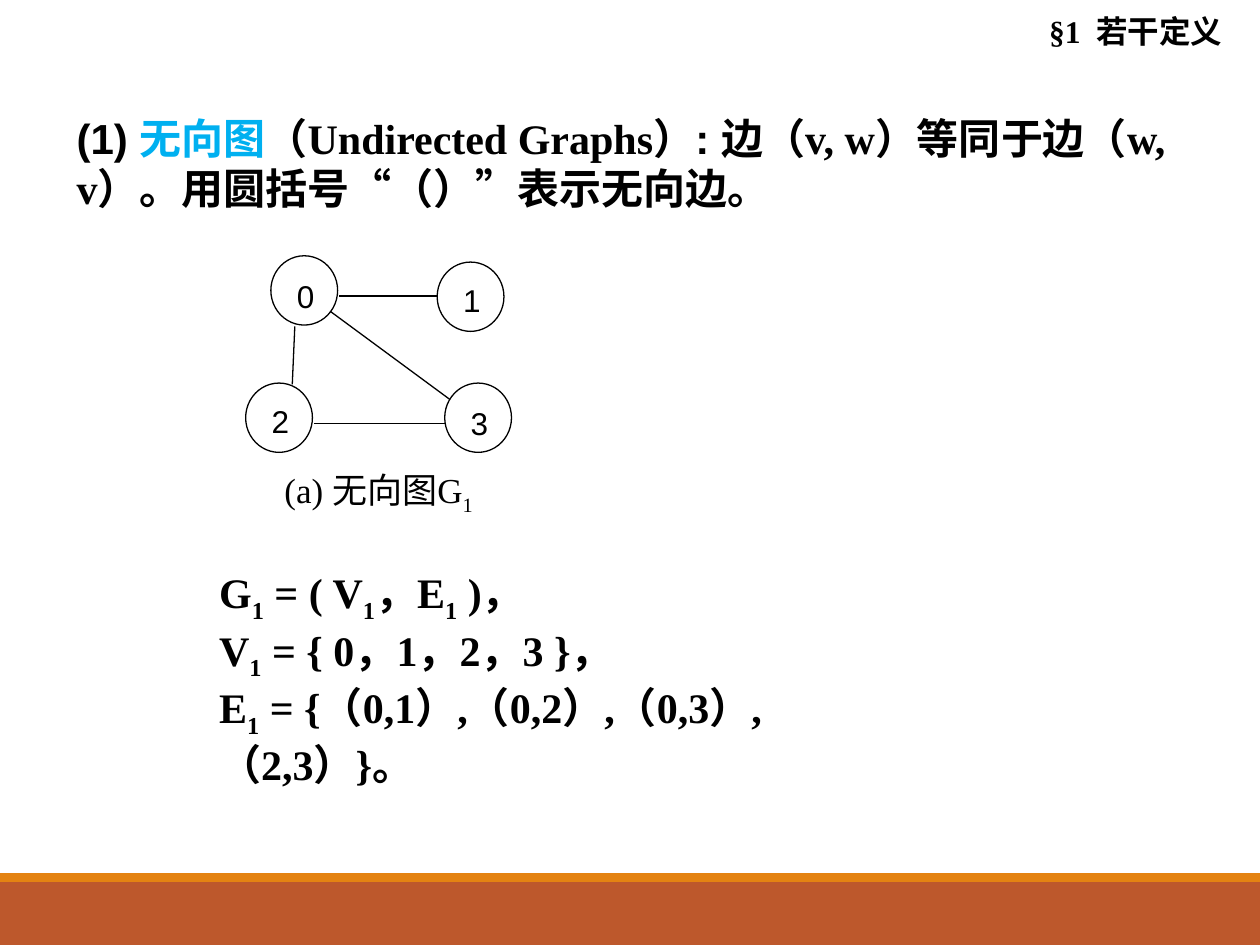
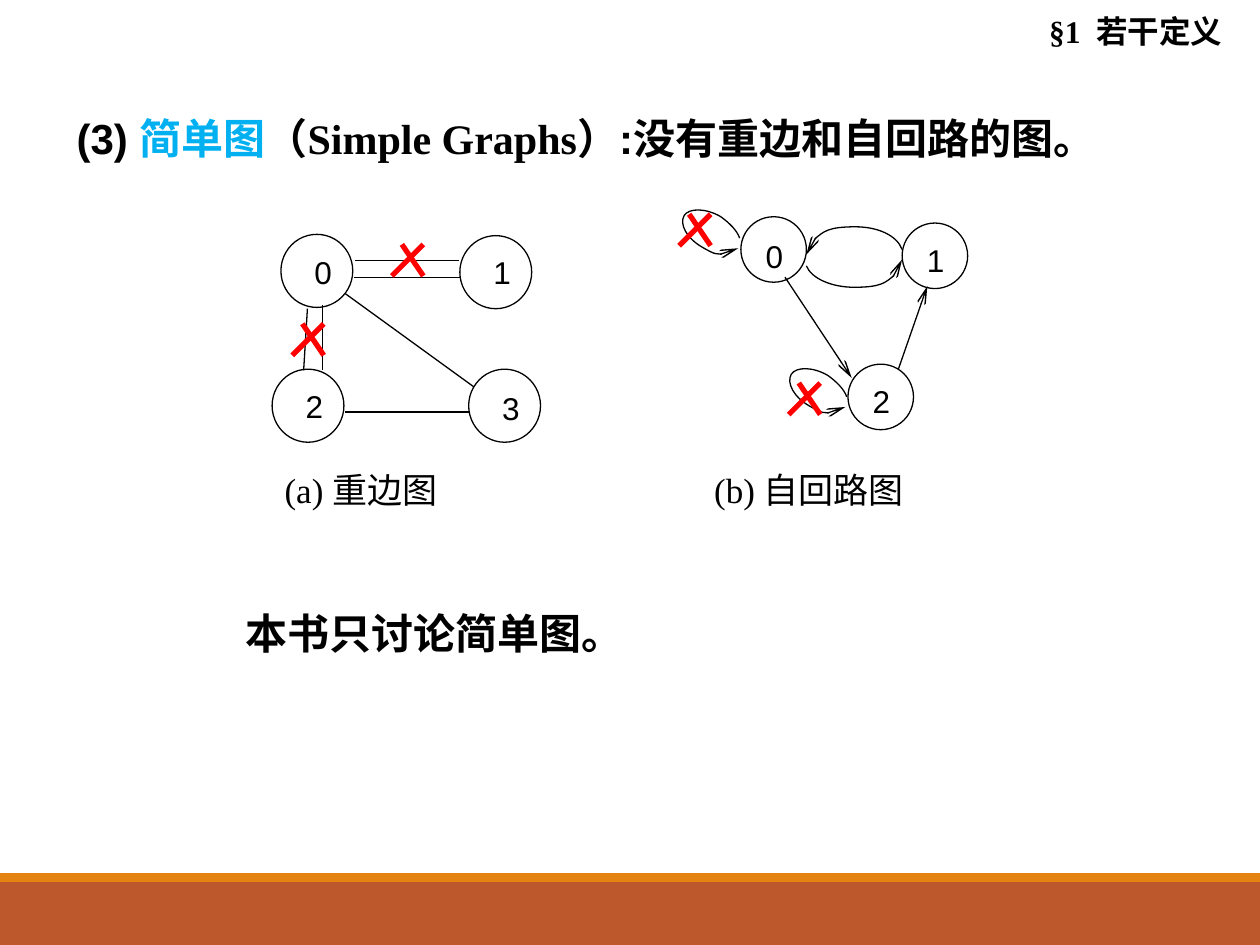
from lxml import etree
from pptx import Presentation
from pptx.dml.color import RGBColor
from pptx.enum.shapes import MSO_CONNECTOR, MSO_SHAPE
from pptx.enum.text import MSO_ANCHOR, PP_ALIGN
from pptx.oxml.ns import qn
from pptx.util import Inches, Pt

RECT, OVAL = MSO_SHAPE.RECTANGLE, MSO_SHAPE.OVAL
LINE = MSO_CONNECTOR.STRAIGHT
LEFT, MID, RIGHT = PP_ALIGN.LEFT, PP_ALIGN.CENTER, PP_ALIGN.RIGHT
TOP = MSO_ANCHOR.TOP
SANS, SERIF = "Arial", "Times New Roman"
HEX = {"ink": "000000", "paper": "FFFFFF", "key": "00B0F0",
       "cross": "FF0000", "band": "BD582C", "rule": "E48312"}

# Content: a run is (text, style); the style names a font, "key" or "sub"
HEAD = "§1  若干定义"
BANDS = [("band", 7, 0.5), ("rule", 6.93, 0.07)]  # colour, top, height

# Graphs: node = text, left, top, label drop; edge = x1, y1, x2, y2
PLAIN = {
    "size": (0.53, 0.55), "label": (0.17, 0.21, 0.24),
    "nodes": [("0", 2.15, 2.03, 0.17), ("1", 3.47, 2.08, 0.15),
              ("2", 1.95, 3.04, 0.15), ("3", 3.53, 3.04, 0.17)],
    "edges": [(2.62, 2.47, 3.57, 3.17), (2.34, 2.59, 2.32, 3.05),
              (3.47, 2.35, 2.69, 2.35), (3.53, 3.36, 2.49, 3.36)],
}
MULTI = {
    "size": (0.57, 0.58), "label": (0.22, 0.23, 0.25),
    "nodes": [("0", 2.23, 1.86, 0.15), ("1", 3.65, 1.87, 0.14),
              ("2", 2.16, 2.93, 0.14), ("3", 3.72, 2.93, 0.16)],
    "edges": [(2.56, 2.42, 2.56, 2.94), (2.44, 2.45, 2.41, 2.94),
              (2.82, 2.07, 3.64, 2.07), (3.66, 2.2, 2.81, 2.2),
              (2.74, 2.33, 3.76, 3.07), (3.72, 3.27, 2.74, 3.27)],
}
LOOPED = {
    "size": (0.52, 0.52), "label": (0.16, 0.21, 0.22), "arrow": True,
    "nodes": [("0", 5.88, 1.72, 0.16), ("1", 7.16, 1.77, 0.14),
              ("2", 6.73, 2.89, 0.14)],
    "edges": [(6.23, 2.2, 6.76, 3), (7.13, 2.93, 7.36, 2.27)],
}

# Curves: a start point, then three points for each cubic
ARCS = [
    [(6.4, 2.11), (6.44, 2.21), (6.6, 2.28), (6.78, 2.28),
     (6.99, 2.28), (7.16, 2.19), (7.16, 2.06)],
    [(7.16, 1.98), (7.12, 1.87), (6.97, 1.8), (6.79, 1.8),
     (6.57, 1.8), (6.4, 1.9), (6.4, 2.02)],
]
LOOP = [(0.48, 0.19), (0.46, 0.13), (0.4, 0.07), (0.33, 0.02),
        (0.21, -0.05), (0.08, -0.05), (0.04, 0.01),
        (0, 0.08), (0.06, 0.19), (0.18, 0.26),
        (0.3, 0.33), (0.43, 0.34), (0.47, 0.27)]
LOOPS = [(5.39, 1.7), (6.24, 2.96)]
CROSSES = [(3.11, 1.94), (2.32, 2.57), (5.39, 1.7), (6.26, 3.04)]

# Texts: place, size, bold, paragraphs
SLIDES = [
    {"graphs": [PLAIN], "arcs": [], "loops": [], "crosses": [], "texts": [
        ((0.51, 0.84, 9.33, 0.9), 24, True, [
            [("(1) ", SANS), ("无向图", "key"),
             ("（Undirected Graphs）", SERIF), (": ", SANS),
             ("边（v, w）等同于边（w, v）。用圆括号“（）”表示无向边。", SERIF)]]),
        ((2.16, 3.67, 2.84, 0.82), 20, False, [
            [("(a) 无向图G", SERIF), ("1", "sub")]]),
        ((1.64, 4.45, 5.78, 1.87), 24, True, [
            [("G", SERIF), ("1", "sub"), (" = ( V", SERIF), ("1", "sub"),
             ("，E", SERIF), ("1", "sub"), (" )，", SERIF)],
            [("V", SERIF), ("1", "sub"), (" = { 0，1，2，3 }，", SERIF)],
            [("E", SERIF), ("1", "sub"),
             (" = {（0,1）,（0,2）,（0,3）,（2,3）}。", SERIF)]]),
    ]},
    {"graphs": [LOOPED, MULTI], "arcs": ARCS, "loops": LOOPS,
     "crosses": CROSSES, "texts": [
        ((0.51, 0.84, 9.14, 0.5), 24, True, [
            [("(3) ", SANS), ("简单图", "key"), ("（Simple Graphs）", SERIF),
             (":没有重边和自回路的图", SANS), ("。", SERIF)]]),
        ((2.16, 3.67, 6.52, 0.44), 20, False, [
            [("(a) 重边图\t(b) 自回路图", SERIF)]]),
        ((1.85, 4.77, 3.7, 0.5), 24, True, [
            [("本书只讨论简单图", SANS), ("。", SERIF)]]),
    ]},
]
TAB = 3.41  # where the second caption starts inside its box


def color(name):
    return RGBColor.from_string(HEX[name])


def box(at):
    return [Inches(v) for v in at]


def pen(line, hue="ink", width=0.75):
    line.color.rgb = color(hue)
    line.width = Pt(width)


def point(shape):
    """Put a slim open arrowhead on the end of a line."""
    etree.SubElement(shape._element.spPr.find(qn("a:ln")),
                     qn("a:tailEnd"), type="arrow", w="sm", len="lg")


def block(slide, kind, at, fill, edged=False):
    shape = slide.shapes.add_shape(kind, *box(at))
    shape.shadow.inherit = False
    shape.fill.solid()
    shape.fill.fore_color.rgb = color(fill)
    if edged:
        pen(shape.line)
    else:
        shape.line.fill.background()
    return shape


def write(para, runs, size, bold=False, align=LEFT):
    para.alignment = align
    if any("\t" in text for text, _ in runs):
        tabs = etree.SubElement(para._p.get_or_add_pPr(), qn("a:tabLst"))
        etree.SubElement(tabs, qn("a:tab"), pos=str(Inches(TAB)), algn="l")
    font = para.font
    font.size, font.bold, font.name = Pt(size), bold, SERIF
    font.color.rgb = color("ink")
    for text, style in runs:
        run = para.add_run()
        run.text = text
        if style == "key":
            run.font.color.rgb = color("key")
        elif style == "sub":
            run._r.get_or_add_rPr().set("baseline", "-25000")
        elif style != SERIF:
            run.font.name = style


def text(slide, at, size, bold, paras, align=LEFT):
    frame = slide.shapes.add_textbox(*box(at)).text_frame
    frame.word_wrap = True
    for i, runs in enumerate(paras):
        para = frame.add_paragraph() if i else frame.paragraphs[0]
        write(para, runs, size, bold, align)


def edge(slide, ends, hue="ink", width=0.75, arrow=False):
    line = slide.shapes.add_connector(LINE, *box(ends))
    pen(line.line, hue, width)
    if arrow:
        point(line)
    etree.SubElement(line._element.spPr, qn("a:effectLst"))


def graph(slide, size, label, nodes, edges, arrow=False):
    inset, wide, high = label
    for name, x, y, drop in nodes:
        block(slide, OVAL, (x, y, *size), "paper", True)
        tag = block(slide, RECT, (x + inset, y + drop, wide, high), "paper")
        frame = tag.text_frame
        frame.margin_left = frame.margin_right = 0
        frame.margin_top = frame.margin_bottom = 0
        frame.vertical_anchor = TOP
        para = frame.paragraphs[0]
        para.line_spacing = Pt(21.6)
        write(para, [(name, SANS)], 18, align=MID)
    for ends in edges:
        edge(slide, ends, arrow=arrow)


def bend(slide, pts):
    """Draw a chain of cubics that ends in an arrowhead."""
    start, *rest = [box(p) for p in pts]
    path = slide.shapes.build_freeform(*start)
    path.add_line_segments(rest, close=False)
    shape = path.convert_to_shape()
    # Join each three straight steps into one cubic
    steps = list(shape._element.iter(qn("a:lnTo")))
    for i in range(0, len(steps), 3):
        cubic = etree.Element(qn("a:cubicBezTo"))
        steps[i].addprevious(cubic)
        for step in steps[i:i + 3]:
            cubic.append(step[0])
            step.getparent().remove(step)
    shape.shadow.inherit = False
    shape.fill.background()
    pen(shape.line)
    point(shape)


def cross(slide, x, y):
    for x1, x2 in ((x + 0.08, x + 0.25), (x + 0.25, x)):
        edge(slide, (x1, y, x2, y + 0.25), "cross", 3)


def main():
    deck = Presentation()
    deck.slide_width, deck.slide_height = Inches(10), Inches(7.5)
    for page in SLIDES:
        slide = deck.slides.add_slide(deck.slide_layouts[6])
        # Shared bands and section head
        for hue, top, high in BANDS:
            block(slide, RECT, (0, top, 10, high), hue)
        text(slide, (8.17, 0.05, 1.63, 0.4), 18, True,
             [[(HEAD, SERIF)]], RIGHT)
        # Words, then graphs with their curves and crosses
        for item in page["texts"]:
            text(slide, *item)
        for net in page["graphs"]:
            graph(slide, **net)
        for arc in page["arcs"]:
            bend(slide, arc)
        for x, y in page["loops"]:
            bend(slide, [(x + dx, y + dy) for dx, dy in LOOP])
        for x, y in page["crosses"]:
            cross(slide, x, y)
    deck.save("out.pptx")


if __name__ == "__main__":
    main()
